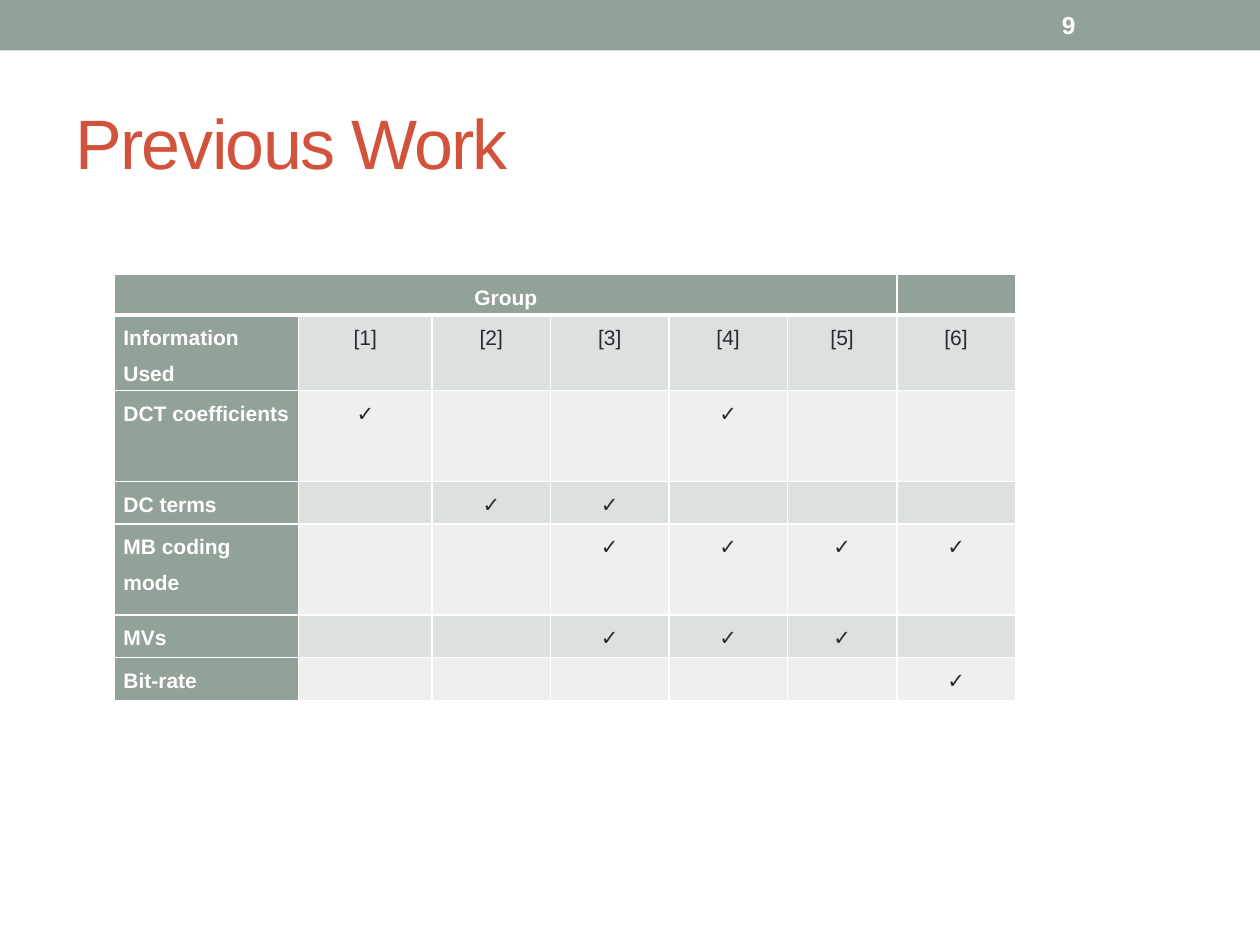
from typing import NamedTuple

from lxml.etree import SubElement
from pptx import Presentation
from pptx.dml.color import RGBColor
from pptx.enum.shapes import MSO_SHAPE
from pptx.enum.text import MSO_ANCHOR, PP_ALIGN
from pptx.oxml.ns import qn
from pptx.util import Inches, Pt

SAGE, RUST, INK, WHITE = "93A299", "D2533C", "292934", "FFFFFF"
BANDS = ("DCE0DE", "EEF0EF")
CHECK = "✓"


class Label(NamedTuple):
    text: str
    left: float
    top: float
    width: float
    height: float
    size: int
    color: str
    bold: bool = False
    tracking: int = 0  # hundredths of a point


class Feature(NamedTuple):
    name: str
    height: float
    groups: tuple[int, ...]  # groups that use this information


LABELS = (
    Label("Previous Work", 0.5, 0.58, 9, 1.08, 40, RUST, tracking=-100),
    Label("9", 8.33, 0.02, 1.17, 0.36, 14, WHITE, bold=True),
)
FEATURES = (
    Feature("DCT coefficients", 0.72, (1, 4)),
    Feature("DC terms", 0.34, (2, 3)),
    Feature("MB coding mode", 0.72, (3, 4, 5, 6)),
    Feature("MVs", 0.34, (3, 4, 5)),
    Feature("Bit-rate", 0.34, (6,)),
)
GROUPS = range(1, 7)
COLUMN_WIDTHS = (1.46, 1.06, 0.94, 0.94, 0.94, 0.87, 0.94)
ROW_HEIGHTS = (0.32, 0.39, *(feature.height for feature in FEATURES))


def rgb(color: str) -> RGBColor:
    return RGBColor.from_string(color)


def format_runs(paragraph, size: int, color: str, bold: bool) -> None:
    for run in paragraph.runs:
        run.font.name = "Arial"
        run.font.size = Pt(size)
        run.font.bold = bold
        run.font.color.rgb = rgb(color)


def add_label(slide, label: Label) -> None:
    box = slide.shapes.add_textbox(
        Inches(label.left), Inches(label.top), Inches(label.width), Inches(label.height))
    frame = box.text_frame
    frame.text = label.text
    frame.word_wrap = True
    frame.vertical_anchor = MSO_ANCHOR.MIDDLE
    paragraph = frame.paragraphs[0]
    format_runs(paragraph, label.size, label.color, label.bold)
    if label.tracking:
        paragraph.runs[0].font._element.set("spc", str(label.tracking))


def set_borders(cell, top: int, bottom: int) -> None:
    properties = cell._tc.get_or_add_tcPr()
    for side, width in (("L", 1), ("R", 1), ("T", top), ("B", bottom)):
        line = SubElement(properties, qn(f"a:ln{side}"), w=str(Pt(width)))
        fill = SubElement(line, qn("a:solidFill"))
        SubElement(fill, qn("a:srgbClr"), val=WHITE)


def style_cell(cell, text: str, row: int, column: int) -> None:
    heading = row == 0 or column == 0
    set_borders(cell, top=3 if row == 1 else 1, bottom=3 if row == 0 else 1)
    cell.fill.solid()
    cell.fill.fore_color.rgb = rgb(SAGE if heading else BANDS[(row - 1) % 2])
    cell.margin_left = cell.margin_right = Inches(0.07)
    cell.margin_top = cell.margin_bottom = 0
    if text:
        cell.text_frame.text = text
        paragraph = cell.text_frame.paragraphs[0]
        paragraph.line_spacing = 1.5
        centred = row == 0 or column > 0
        paragraph.alignment = PP_ALIGN.CENTER if centred else PP_ALIGN.LEFT
        format_runs(paragraph, 12, WHITE if heading else INK, heading)


def add_feature_table(slide) -> None:
    contents = [
        ["Group"] + [""] * len(GROUPS),
        ["Information Used"] + [f"[{group}]" for group in GROUPS],
    ]
    for feature in FEATURES:
        marks = [CHECK if group in feature.groups else "" for group in GROUPS]
        contents.append([feature.name] + marks)

    table = slide.shapes.add_table(
        len(ROW_HEIGHTS), len(COLUMN_WIDTHS), Inches(0.91), Inches(2.18),
        Inches(sum(COLUMN_WIDTHS)), Inches(sum(ROW_HEIGHTS))).table
    for column, width in zip(table.columns, COLUMN_WIDTHS):
        column.width = Inches(width)
    for row, height in zip(table.rows, ROW_HEIGHTS):
        row.height = Inches(height)
    for row, texts in enumerate(contents):
        for column, text in enumerate(texts):
            style_cell(table.cell(row, column), text, row, column)
    table.cell(0, 0).merge(table.cell(0, 5))


def main() -> None:
    presentation = Presentation()
    presentation.slide_width = Inches(10)
    presentation.slide_height = Inches(7.5)
    slide = presentation.slides.add_slide(presentation.slide_layouts[6])

    # Top band
    band = slide.shapes.add_shape(MSO_SHAPE.RECTANGLE, 0, 0, Inches(10), Inches(0.4))
    band.shadow.inherit = False
    band.fill.solid()
    band.fill.fore_color.rgb = rgb(SAGE)
    band.line.fill.background()

    # Title and page number
    for label in LABELS:
        add_label(slide, label)

    # Information used by each group
    add_feature_table(slide)

    presentation.save("out.pptx")


if __name__ == "__main__":
    main()
